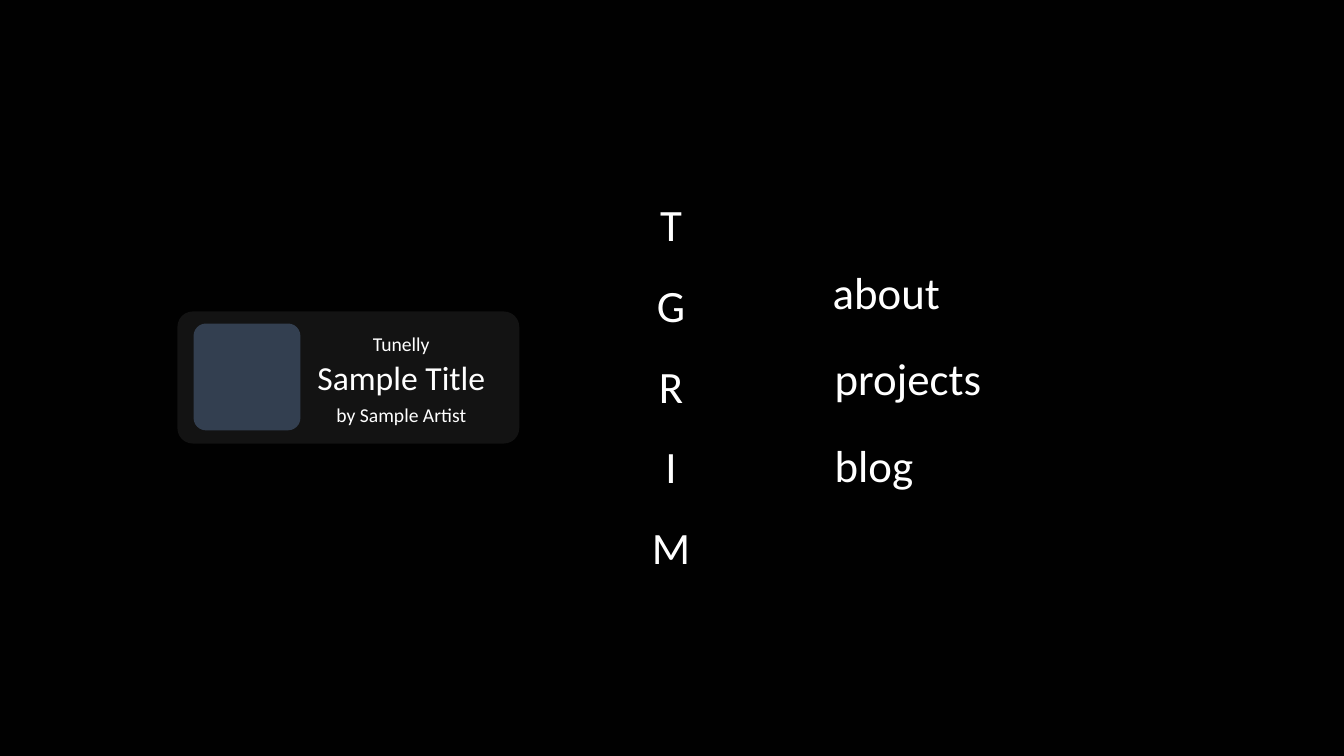
from pptx import Presentation
from pptx.dml.color import RGBColor
from pptx.enum.shapes import MSO_SHAPE
from pptx.enum.text import MSO_ANCHOR, MSO_AUTO_SIZE, PP_ALIGN
from pptx.util import Inches, Pt

FONT = "Calibri"
BLACK = "010101"
WHITE = "FFFFFF"
CARD = "131313"
COVER = "333F50"


def paint(fill, color):
    fill.solid()
    fill.fore_color.rgb = RGBColor.from_string(color)


def write_line(frame, text, size=32, align=PP_ALIGN.LEFT, spacing=1.0, before=0, first=False):
    para = frame.paragraphs[0] if first else frame.add_paragraph()
    para.alignment = align
    para.line_spacing = spacing
    para.space_before = Pt(before)
    span = para.add_run()
    span.text = text
    span.font.name = FONT
    span.font.size = Pt(size)
    span.font.color.rgb = RGBColor.from_string(WHITE)


def add_label(page, left, top, width, height, lines, **style):
    box = page.shapes.add_textbox(Inches(left), Inches(top), Inches(width), Inches(height))
    box.text_frame.word_wrap = False
    box.text_frame.auto_size = MSO_AUTO_SIZE.SHAPE_TO_FIT_TEXT
    for index, text in enumerate(lines):
        write_line(box.text_frame, text, first=index == 0, **style)


def add_rounded(page, left, top, width, height, color):
    shape = page.shapes.add_shape(
        MSO_SHAPE.ROUNDED_RECTANGLE, Inches(left), Inches(top), Inches(width), Inches(height)
    )
    shape.adjustments[0] = 0.116
    shape.shadow.inherit = False
    shape.line.fill.background()
    paint(shape.fill, color)
    return shape


def add_player(page):
    card = add_rounded(page, 1.76, 3.09, 3.39, 1.31, CARD)
    frame = card.text_frame
    frame.word_wrap = True
    frame.vertical_anchor = MSO_ANCHOR.MIDDLE
    frame.margin_left = Inches(1.15)
    frame.margin_top = Inches(0.09)
    lines = [("Tunelly", 14, 0), ("Sample Title", 24, 1), ("by Sample Artist", 14, 4)]
    for index, (text, size, before) in enumerate(lines):
        write_line(frame, text, size=size, align=PP_ALIGN.CENTER, before=before, first=index == 0)
    add_rounded(page, 1.92, 3.21, 1.06, 1.06, COVER)


def main():
    deck = Presentation()
    deck.slide_width = Inches(13.33)
    deck.slide_height = Inches(7.5)
    page = deck.slides.add_slide(deck.slide_layouts[6])
    paint(page.background.fill, BLACK)

    add_label(page, 6.36, 1.64, 0.59, 4.06, "TGRIM", align=PP_ALIGN.CENTER, spacing=1.5)
    add_player(page)
    menu = [("about", 8.16, 1.28), ("projects", 8.18, 1.67), ("blog", 8.18, 0.99)]
    for row, (text, left, width) in enumerate(menu):
        add_label(page, left, 2.58 + 0.855 * row, width, 0.64, [text])

    deck.save("out.pptx")


if __name__ == "__main__":
    main()
